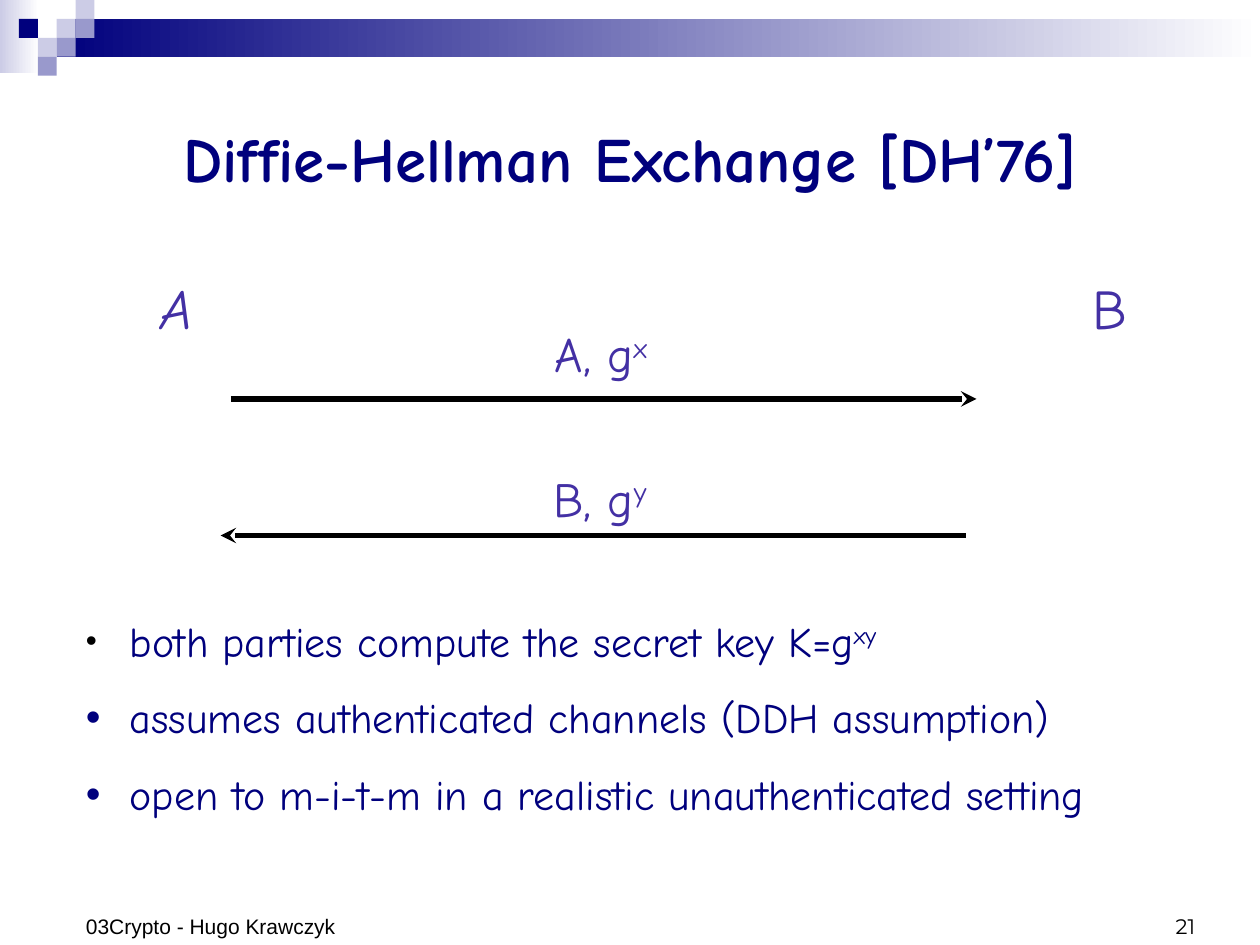
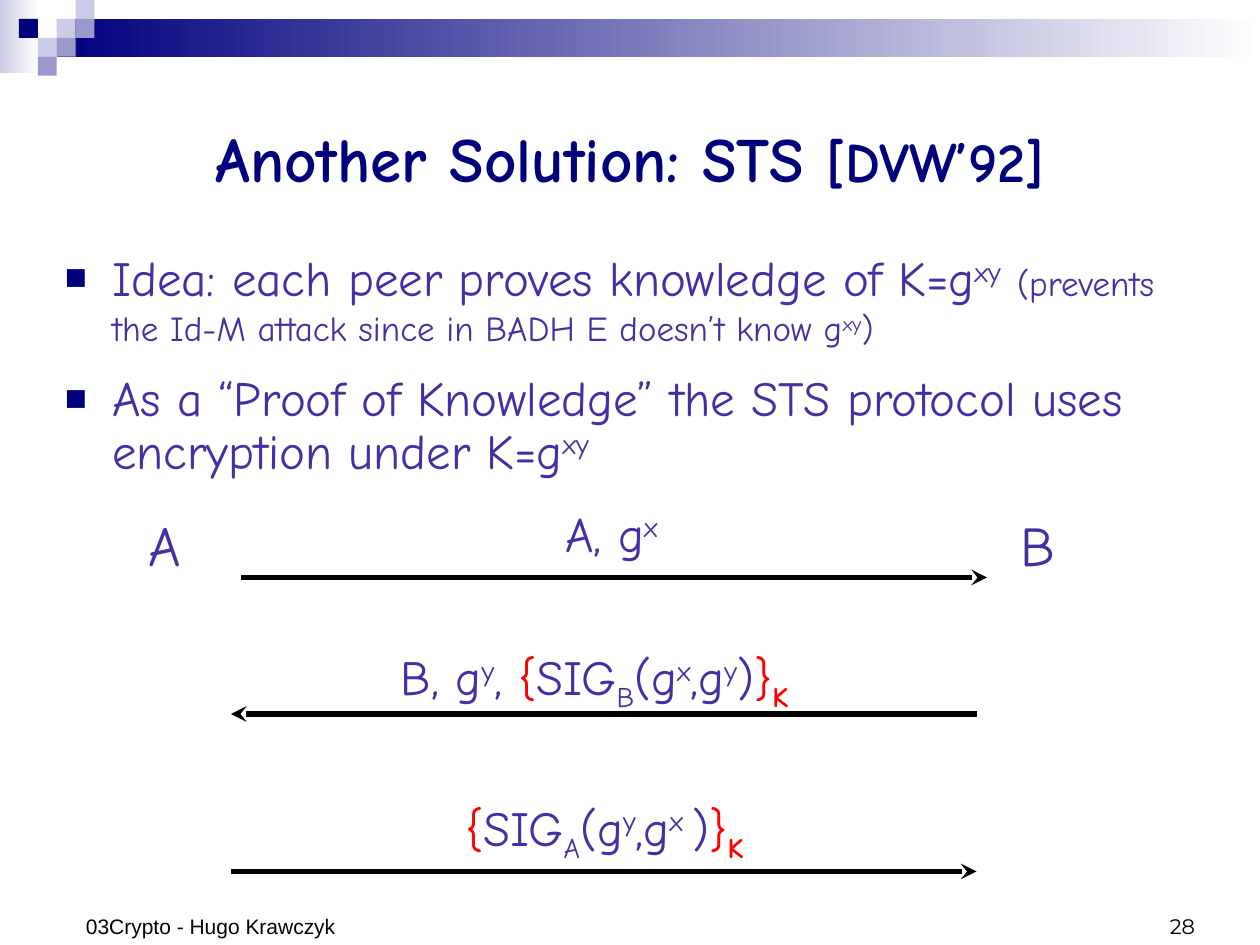
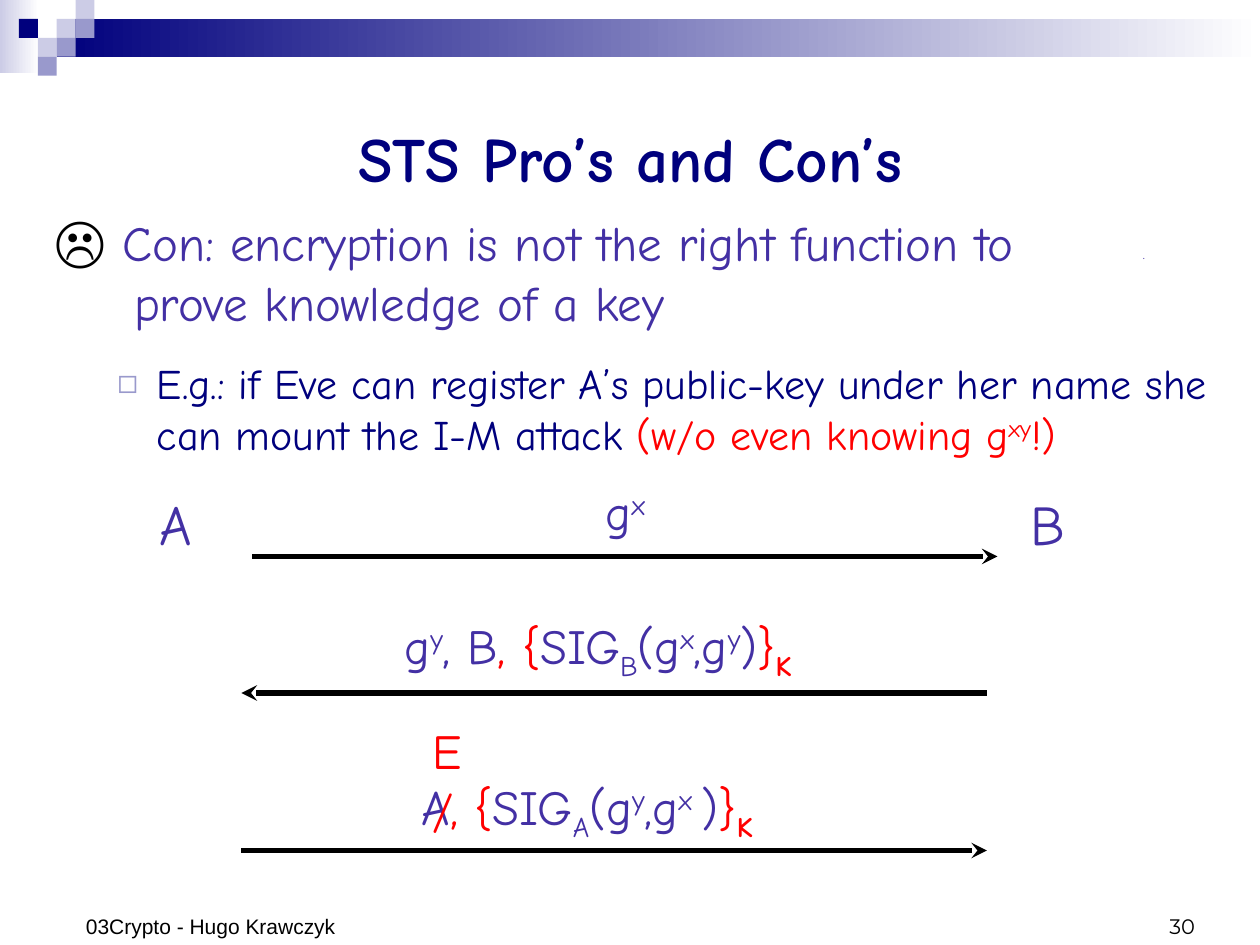
from lxml import etree
from pptx import Presentation
from pptx.dml.color import RGBColor
from pptx.enum import shapes, text
from pptx.oxml import ns
from pptx.util import Pt

HUE = {
    "navy": "00007D", "violet": "4330A4", "red": "FF0000", "black": "000000",
    "white": "FFFFFF", "pale": "CCCCE6", "mid": "9999CC",
}
COMIC, ARIAL = "Comic Neue", "Arial"
UNIT = 10.8
TILES = [(3, 1, "pale"), (4, 0, "pale"), (4, 1, "mid"), (2, 2, "pale"),
         (1, 1, "navy"), (3, 2, "mid"), (2, 3, "mid")]
FOOT = "03Crypto - Hugo Krawczyk"


def rgb(name):
    return RGBColor.from_string(HUE[name])


def sup(word, **style):
    return word, dict(base=30, **style)


def sub(word, **style):
    return word, dict(base=-25, **style)


def red(word):
    return word, {"color": "red"}


def sig(who, one, two):
    return [red("{"), "SIG", sub(who), "(g", sup(one), ",g", sup(two), ")",
            red("}"), sub("K", color="red", bold=True)]


def mark(para, char, color, scale):
    props = para._p.get_or_add_pPr()
    tint = etree.SubElement(props, ns.qn("a:buClr"))
    etree.SubElement(tint, ns.qn("a:srgbClr"), val=HUE[color])
    etree.SubElement(props, ns.qn("a:buSzPct"), val=str(scale * 1000))
    etree.SubElement(props, ns.qn("a:buFont"), typeface=ARIAL)
    etree.SubElement(props, ns.qn("a:buChar"), char=char)


def write(para, runs, size=28, font=COMIC, color="violet", bold=False,
          italic=False, align="LEFT", before=0, after=0, line=None,
          left=0, hang=0, bullet=None):
    para.alignment = getattr(text.PP_ALIGN, align)
    para.space_before, para.space_after = Pt(before), Pt(after)
    if line:
        para.line_spacing = line
    props = para._p.get_or_add_pPr()
    props.set("marL", str(Pt(left)))
    props.set("indent", str(Pt(-hang)))
    if bullet:
        mark(para, *bullet)
    for item in [runs] if isinstance(runs, str) else runs:
        word, style = (item, {}) if isinstance(item, str) else item
        if word == "\n":
            para.add_line_break()
            continue
        run = para.add_run()
        run.text = word
        face = run.font
        face.size = Pt(style.get("size", size))
        face.name = style.get("font", font)
        face.bold = style.get("bold", bold)
        face.italic = italic
        face.color.rgb = rgb(style.get("color", color))
        if "base" in style:
            run._r.get_or_add_rPr().set("baseline", str(style["base"] * 1000))


def box(slide, left, top, wide, high, anchor="TOP"):
    frame = slide.shapes.add_textbox(
        Pt(left), Pt(top), Pt(wide), Pt(high)).text_frame
    frame.word_wrap = True
    frame.vertical_anchor = getattr(text.MSO_ANCHOR, anchor)
    return frame


def label(slide, left, top, runs, wide=300, high=46, anchor="TOP", **style):
    frame = box(slide, left, top, wide, high, anchor)
    write(frame.paragraphs[0], runs, **style)


def rows(slide, left, top, wide, high, items):
    frame = box(slide, left, top, wide, high)
    for num, (runs, style) in enumerate(items):
        para = frame.add_paragraph() if num else frame.paragraphs[0]
        write(para, runs, **style)


def rect(slide, left, top, wide, high, color, fade=False):
    shape = slide.shapes.add_shape(
        shapes.MSO_SHAPE.RECTANGLE, Pt(left), Pt(top), Pt(wide), Pt(high))
    shape.shadow.inherit = False
    shape.line.fill.background()
    if fade:
        shape.fill.gradient()
        shape.fill.gradient_angle = 180
        for stop, name in zip(shape.fill.gradient_stops, ("white", color)):
            stop.color.rgb = rgb(name)
    else:
        shape.fill.solid()
        shape.fill.fore_color.rgb = rgb(color)


def arrow(slide, start, end, y):
    line = slide.shapes.add_connector(
        shapes.MSO_CONNECTOR.STRAIGHT, Pt(start), Pt(y), Pt(end), Pt(y))
    line.line.width = Pt(3)
    line.line.color.rgb = rgb("black")
    etree.SubElement(line.line._get_or_add_ln(), ns.qn("a:tailEnd"),
                     type="stealth")
    etree.SubElement(line._element.spPr, ns.qn("a:effectLst"))


def parties(slide, a, b, top, italic=False):
    label(slide, a, top, "A", wide=36, size=32, italic=italic)
    label(slide, b, top, "B", wide=36, size=32)


def start(deck, runs, number):
    slide = deck.slides.add_slide(deck.slide_layouts[5])
    rect(slide, 0, 0, 22.3, 41.8, "pale", fade=True)
    rect(slide, 3 * UNIT, UNIT, 720 - 3 * UNIT, 2 * UNIT, "navy", fade=True)
    for col, row, color in TILES:
        rect(slide, col * UNIT, row * UNIT, UNIT, UNIT, color)
    title = slide.shapes.title
    title.left, title.top = Pt(36), Pt(36)
    title.width, title.height = Pt(648), Pt(108)
    title.text_frame.vertical_anchor = text.MSO_ANCHOR.MIDDLE
    write(title.text_frame.paragraphs[0], runs, size=36, color="navy",
          bold=True, align="CENTER")
    label(slide, 522, 504, number, wide=168, high=36, anchor="BOTTOM",
          size=12, font="Montserrat", color="black", align="RIGHT")
    label(slide, 42, 503, FOOT, wide=168, high=37, anchor="BOTTOM",
          size=12, font=ARIAL, color="black")
    return slide


def exchange(deck):
    slide = start(deck, "Diffie-Hellman Exchange [DH’76]", "21")
    parties(slide, 84.5, 617, 153, italic=True)
    label(slide, 310, 181.5, ["A, g", sup("x")])
    arrow(slide, 132, 558, 228)
    label(slide, 309, 264, ["B, g", sup("y")])
    arrow(slide, 552, 126, 306)
    facts = [
        (["both parties compute the secret key K=g", sup("xy")], "black", 75),
        ("assumes authenticated channels (DDH assumption)", "navy", 100),
        ("open to m-i-t-m in a realistic unauthenticated setting", "navy", 100),
    ]
    rows(slide, 42, 348, 660, 124, [
        (runs, dict(size=24, color="navy", before=15, left=25, hang=25,
                    bullet=("•", color, scale)))
        for runs, color, scale in facts])


def solution(deck):
    slide = start(deck, ["Another Solution: STS ", ("[DVW’92]", {"size": 32})],
                  "28")
    look = dict(left=27, hang=27, bullet=("■", "navy", 75))
    rows(slide, 30, 138, 666, 220, [
        (["Idea: each peer proves knowledge of K=g", sup("xy"), " ",
          ("(prevents the Id-M attack since in BADH E doesn’t know g",
           {"size": 20}), sup("xy", size=20), (")", {"size": 20})],
         dict(look, before=6, after=7.5)),
        (["As a “Proof of Knowledge” the STS protocol uses encryption "
          "under K=g", sup("xy")],
         dict(look, before=7, after=8.8, line=0.9)),
    ])
    parties(slide, 78, 576, 288)
    label(slide, 316, 284, ["A, g", sup("x")])
    arrow(slide, 138, 564, 330)
    label(slide, 222, 366, ["B, g", sup("y"), ", "] + sig("B", "x", "y"))
    arrow(slide, 558, 132, 408)
    label(slide, 259, 452, sig("A", "y", "x "))
    arrow(slide, 132, 558, 498)


def verdict(deck):
    slide = start(deck, "STS Pro’s and Con’s", "30")
    rows(slide, 24, 114, 696, 160, [
        ([("☹", dict(size=32, font=ARIAL, color="black")),
          " Con: encryption is not the right function to", ("\n", {}),
          "prove knowledge of a key"],
         dict(before=7, after=8.8, left=45.5, hang=45.5)),
        (["E.g.: if Eve can register A’s public-key under her name she can "
          "mount the I-M attack ", red("(w/o even knowing g"),
          sup("xy", color="red"), red("!)")],
         dict(size=24, color="navy", before=6, after=7.5, left=58.5,
              hang=22.5, bullet=("◻", "mid", 80))),
    ])
    label(slide, 646, 137, ".", wide=20, high=18, size=8)
    parties(slide, 84, 582, 276)
    label(slide, 339, 271.5, ["g", sup("x")])
    arrow(slide, 144, 570, 318)
    label(slide, 224, 348,
          ["g", sup("y"), ", B", red(", ")] + sig("B", "x", "y"))
    arrow(slide, 564, 138, 396)
    label(slide, 234, 440, ["A", red(", ")] + sig("A", "y", "x "))
    label(slide, 240, 408, "E/", wide=30, high=75, color="red")
    arrow(slide, 138, 564, 486)


def main():
    deck = Presentation()
    deck.slide_width, deck.slide_height = Pt(720), Pt(540)
    exchange(deck)
    solution(deck)
    verdict(deck)
    deck.save("out.pptx")


if __name__ == "__main__":
    main()
